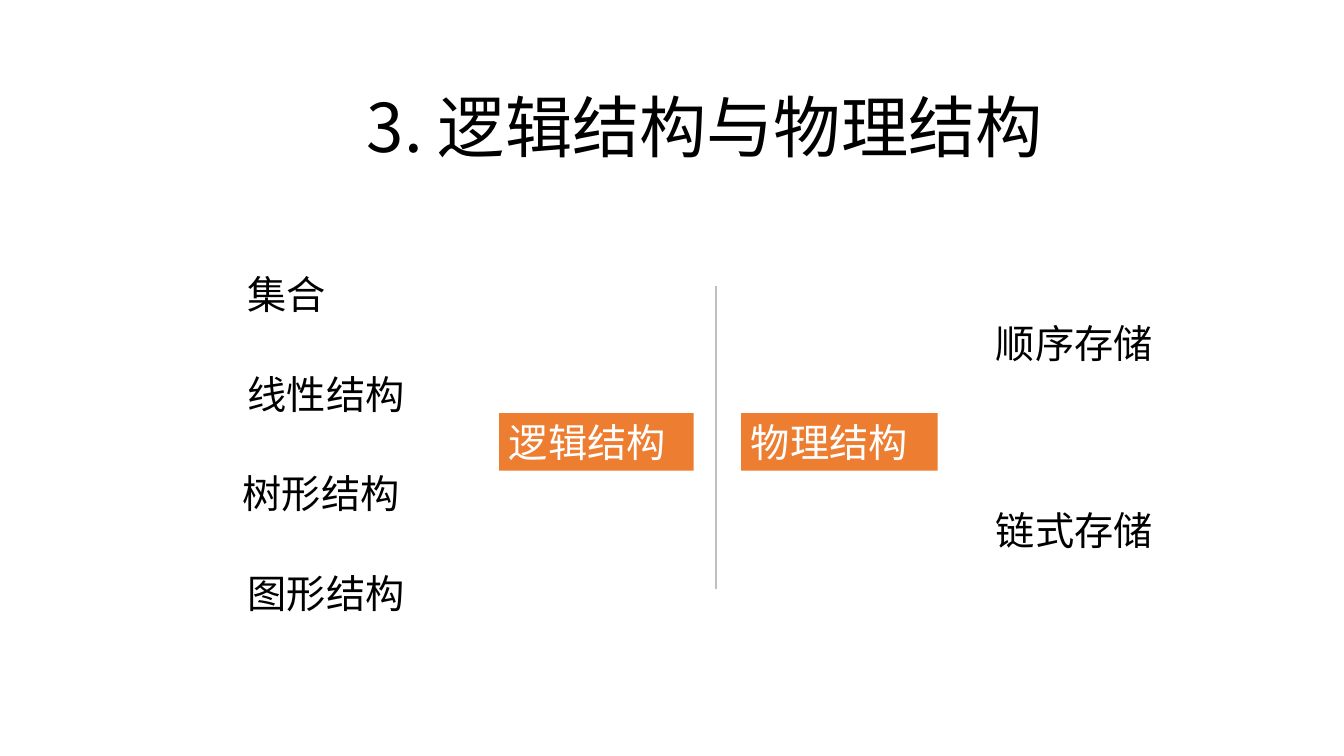
from lxml import etree
from pptx import Presentation
from pptx.dml.color import RGBColor
from pptx.enum.shapes import MSO_CONNECTOR, MSO_SHAPE
from pptx.enum.text import MSO_ANCHOR, MSO_AUTO_SIZE, PP_ALIGN
from pptx.oxml.ns import qn
from pptx.util import Inches, Pt

LEFT, CENTER = PP_ALIGN.LEFT, PP_ALIGN.CENTER
MIDDLE, TOP = MSO_ANCHOR.MIDDLE, MSO_ANCHOR.TOP
FIT_SHAPE = MSO_AUTO_SIZE.SHAPE_TO_FIT_TEXT
RECTANGLE = MSO_SHAPE.RECTANGLE
STRAIGHT = MSO_CONNECTOR.STRAIGHT
TITLE_ONLY = 5


def color(value):
    return RGBColor.from_string(value)


class StructureSlide:
    FONT = "Noto Sans CJK SC"
    TITLE_SIZE, TEXT_SIZE = 48, 28
    BLACK, WHITE, ORANGE, GRAY = "000000", "FFFFFF", "ED7D31", "BFBFBF"
    ROW_HEIGHT = 0.57

    def __init__(self, prs):
        self.s = prs.slides.add_slide(prs.slide_layouts[TITLE_ONLY])

    def set_text(self, sp, text, size, fill, align=LEFT, anchor=TOP):
        tf = sp.text_frame
        tf.text = text
        tf.word_wrap = True
        tf.auto_size = FIT_SHAPE
        tf.vertical_anchor = anchor
        p = tf.paragraphs[0]
        p.alignment = align
        p.font.size = Pt(size)
        p.font.color.rgb = color(fill)
        p.font.name = self.FONT
        # East Asian characters take their typeface from a:ea.
        east_asian = etree.SubElement(p._p.pPr.find(qn("a:defRPr")), qn("a:ea"))
        east_asian.set("typeface", self.FONT)

    def title(self, text, left, top, width, height):
        sp = self.s.shapes.title
        sp.left, sp.top = Inches(left), Inches(top)
        sp.width, sp.height = Inches(width), Inches(height)
        self.set_text(sp, text, self.TITLE_SIZE, self.BLACK, CENTER, MIDDLE)

    def item(self, text, left, top, width):
        sp = self.s.shapes.add_textbox(Inches(left), Inches(top),
                                       Inches(width), Inches(self.ROW_HEIGHT))
        self.set_text(sp, text, self.TEXT_SIZE, self.BLACK)

    def label(self, text, left, top, width):
        sp = self.s.shapes.add_shape(RECTANGLE, Inches(left), Inches(top),
                                     Inches(width), Inches(self.ROW_HEIGHT))
        sp.shadow.inherit = False
        sp.fill.solid()
        sp.fill.fore_color.rgb = color(self.ORANGE)
        sp.line.fill.background()
        self.set_text(sp, text, self.TEXT_SIZE, self.WHITE)

    def divider(self, x, top, bottom):
        line = self.s.shapes.add_connector(STRAIGHT, Inches(x), Inches(top),
                                           Inches(x), Inches(bottom))
        line.line.color.rgb = color(self.GRAY)
        line.line.width = Pt(1)
        etree.SubElement(line._element.spPr, qn("a:effectLst"))


def main():
    prs = Presentation()
    prs.slide_width, prs.slide_height = Inches(13.33), Inches(7.5)
    slide = StructureSlide(prs)

    slide.title("3. 逻辑结构与物理结构", 2.76, 0.79, 8.46, 0.91)

    logical = [("集合", 2.36), ("线性结构", 2.36), ("树形结构", 2.31), ("图形结构", 2.36)]
    for row, (text, left) in enumerate(logical):
        slide.item(text, left, 2.63 + 0.99 * row, 3.3)
    for row, text in enumerate(["顺序存储", "链式存储"]):
        slide.item(text, 9.78, 3.12 + 1.85 * row, 2.95)

    slide.divider(7.1, 2.84, 5.84)
    slide.label("逻辑结构", 4.95, 4.1, 1.93)
    slide.label("物理结构", 7.35, 4.1, 1.95)

    prs.save("out.pptx")


if __name__ == "__main__":
    main()
